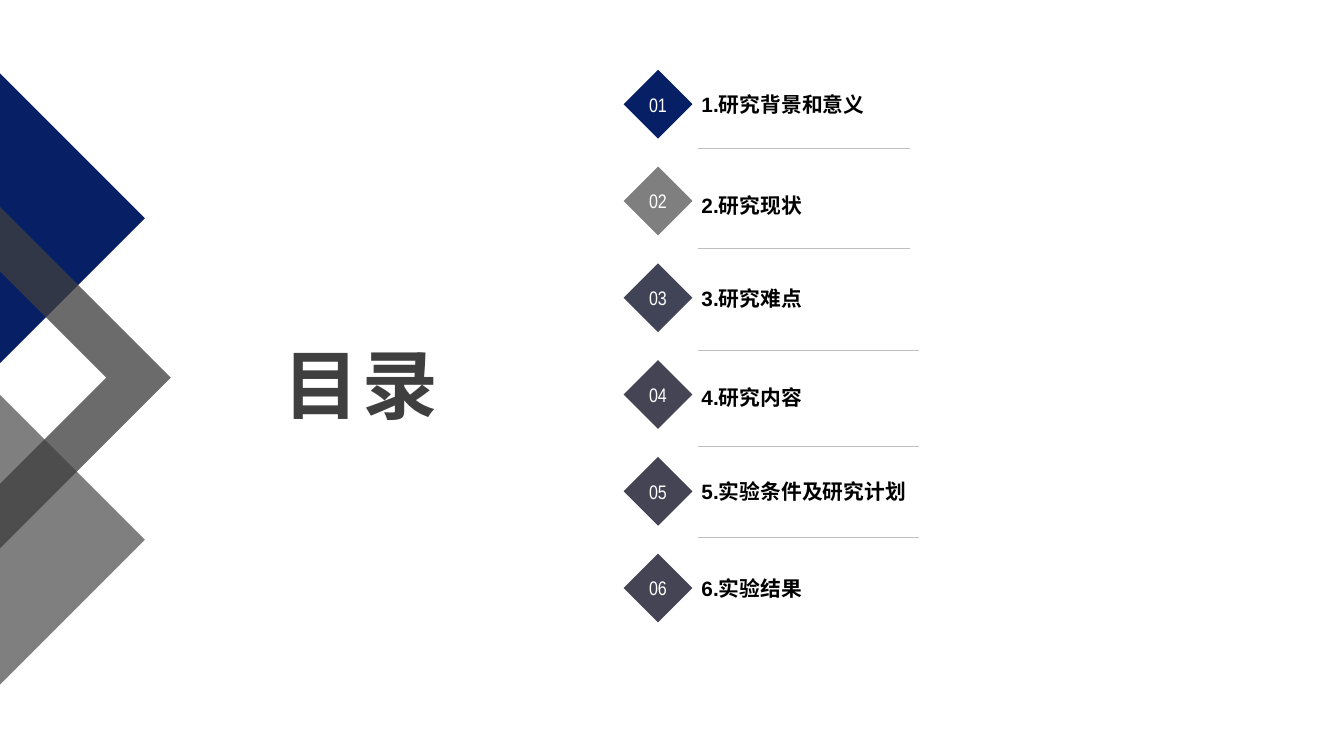
"""Build the contents slide with numbered diamonds and a chevron ornament."""
from lxml import etree
from pptx import Presentation
from pptx.dml.color import RGBColor
from pptx.enum import shapes, text
from pptx.oxml import ns
from pptx.util import Pt

NAVY = RGBColor(0x07, 0x1F, 0x65)
GRAY = RGBColor(0x7F, 0x7F, 0x7F)
SLATE = RGBColor(0x41, 0x44, 0x56)
PLUM = RGBColor(0x44, 0x44, 0x55)
CHARCOAL = RGBColor(0x3F, 0x3F, 0x3F)
RULE_GRAY = RGBColor(0xBF, 0xBF, 0xBF)
BLACK = RGBColor(0, 0, 0)
WHITE = RGBColor(0xFF, 0xFF, 0xFF)

DIAMOND_LEFT, DIAMOND_TOP, DIAMOND_SIZE, DIAMOND_STEP = 334.1, 37.4, 36.9, 51.84
LABEL_LEFT, LABEL_WIDTH, LABEL_HEIGHT = 370.8, 234, 18
RULE_LEFT = 373.7
SIDE = 110.2
CHEVRON_WIDTH, CHEVRON_HEIGHT, CHEVRON_BAND = 184.4, 92.2, 34.6

ENTRIES = [
    ("研究背景和意义", NAVY, 47.5),
    ("研究现状", GRAY, 101.5),
    ("研究难点", SLATE, 151.2),
    ("研究内容", PLUM, 204.5),
    ("实验条件及研究计划", PLUM, 254.9),
    ("实验结果", PLUM, 306.7),
]
RULES = [(79.2, 487.4), (133.2, 487.4), (187.9, 492.5), (239, 492.5), (288, 492.5)]


def write(frame, content, *, size, color, font="Arial", bold=False, spacing=None,
          align=text.PP_ALIGN.LEFT, anchor=text.MSO_ANCHOR.MIDDLE,
          wrap=True, insets=(5, 3)):
    frame.word_wrap = wrap
    frame.auto_size = text.MSO_AUTO_SIZE.NONE
    frame.vertical_anchor = anchor
    frame.margin_left = frame.margin_right = Pt(insets[0])
    frame.margin_top = frame.margin_bottom = Pt(insets[1])
    paragraph = frame.paragraphs[0]
    paragraph.alignment = align
    run = paragraph.add_run()
    run.text = content
    run.font.name = font
    run.font.size = Pt(size)
    run.font.bold = bold
    run.font.color.rgb = color
    if spacing is not None:
        run._r.get_or_add_rPr().set("spc", str(round(spacing * 100)))


class SlideBuilder:
    def __init__(self, presentation):
        self.slide = presentation.slides.add_slide(presentation.slide_layouts[5])
        self.ornament = None

    def paint(self, shape, color, alpha=None):
        shape.shadow.inherit = False
        shape.fill.solid()
        shape.fill.fore_color.rgb = color
        shape.line.fill.background()
        if alpha is not None:
            fill_color = shape._element.spPr.find(".//" + ns.qn("a:srgbClr"))
            etree.SubElement(fill_color, ns.qn("a:alpha")).set("val", str(alpha * 1000))

    def title(self, content, left, top, width, height):
        shape = self.slide.shapes.title
        shape.left, shape.top = Pt(left), Pt(top)
        shape.width, shape.height = Pt(width), Pt(height)
        write(shape.text_frame, content, size=40.5, color=CHARCOAL, bold=True,
              spacing=2.2, align=text.PP_ALIGN.CENTER, insets=(7.2, 3.6))

    def outline(self, left, top, points, rotation, color, alpha=None):
        if self.ornament is None:
            self.ornament = self.slide.shapes.add_group_shape()
        vertices = [(Pt(left + x), Pt(top + y)) for x, y in points]
        builder = self.ornament.shapes.build_freeform(*vertices[0])
        builder.add_line_segments(vertices[1:], close=True)
        shape = builder.convert_to_shape()
        shape.rotation = rotation
        self.paint(shape, color, alpha)

    def diamond(self, content, top, color):
        shape = self.slide.shapes.add_shape(
            shapes.MSO_SHAPE.DIAMOND, Pt(DIAMOND_LEFT), Pt(top),
            Pt(DIAMOND_SIZE), Pt(DIAMOND_SIZE))
        self.paint(shape, color)
        write(shape.text_frame, content, size=10.5, color=WHITE, font="Arial Narrow",
              align=text.PP_ALIGN.CENTER, wrap=False)

    def label(self, content, top):
        shape = self.slide.shapes.add_textbox(
            Pt(LABEL_LEFT), Pt(top), Pt(LABEL_WIDTH), Pt(LABEL_HEIGHT))
        write(shape.text_frame, content, size=11.1, color=BLACK, bold=True,
              anchor=text.MSO_ANCHOR.BOTTOM)

    def rule(self, top, right):
        connector = self.slide.shapes.add_connector(
            shapes.MSO_CONNECTOR.STRAIGHT, Pt(RULE_LEFT), Pt(top), Pt(right), Pt(top))
        connector.line.color.rgb = RULE_GRAY
        connector.line.width = Pt(0.25)
        etree.SubElement(connector._element.spPr, ns.qn("a:effectLst"))


def main():
    presentation = Presentation()
    presentation.slide_width, presentation.slide_height = Pt(720), Pt(405)
    builder = SlideBuilder(presentation)

    builder.outline(-55.4, 234, [(0, 0), (0, SIDE), (SIDE, SIDE)], 225, GRAY)
    builder.outline(-55.4, 61.9, [(0, 0), (SIDE, 0), (SIDE, SIDE)], 45, NAVY)
    middle = CHEVRON_WIDTH / 2
    chevron = [
        (middle, 0), (CHEVRON_WIDTH, CHEVRON_HEIGHT),
        (CHEVRON_WIDTH - CHEVRON_BAND, CHEVRON_HEIGHT), (middle, CHEVRON_BAND),
        (CHEVRON_BAND, CHEVRON_HEIGHT), (0, CHEVRON_HEIGHT),
    ]
    builder.outline(-46.8, 156.2, chevron, 90, CHARCOAL, alpha=77)

    builder.title("目录", 82.8, 177.8, 221, 54.7)
    for index, (topic, color, label_top) in enumerate(ENTRIES):
        builder.diamond(f"{index + 1:02}", DIAMOND_TOP + index * DIAMOND_STEP, color)
        builder.label(f"{index + 1}.{topic}", label_top)
    for top, right in RULES:
        builder.rule(top, right)

    presentation.save("out.pptx")


if __name__ == "__main__":
    main()
